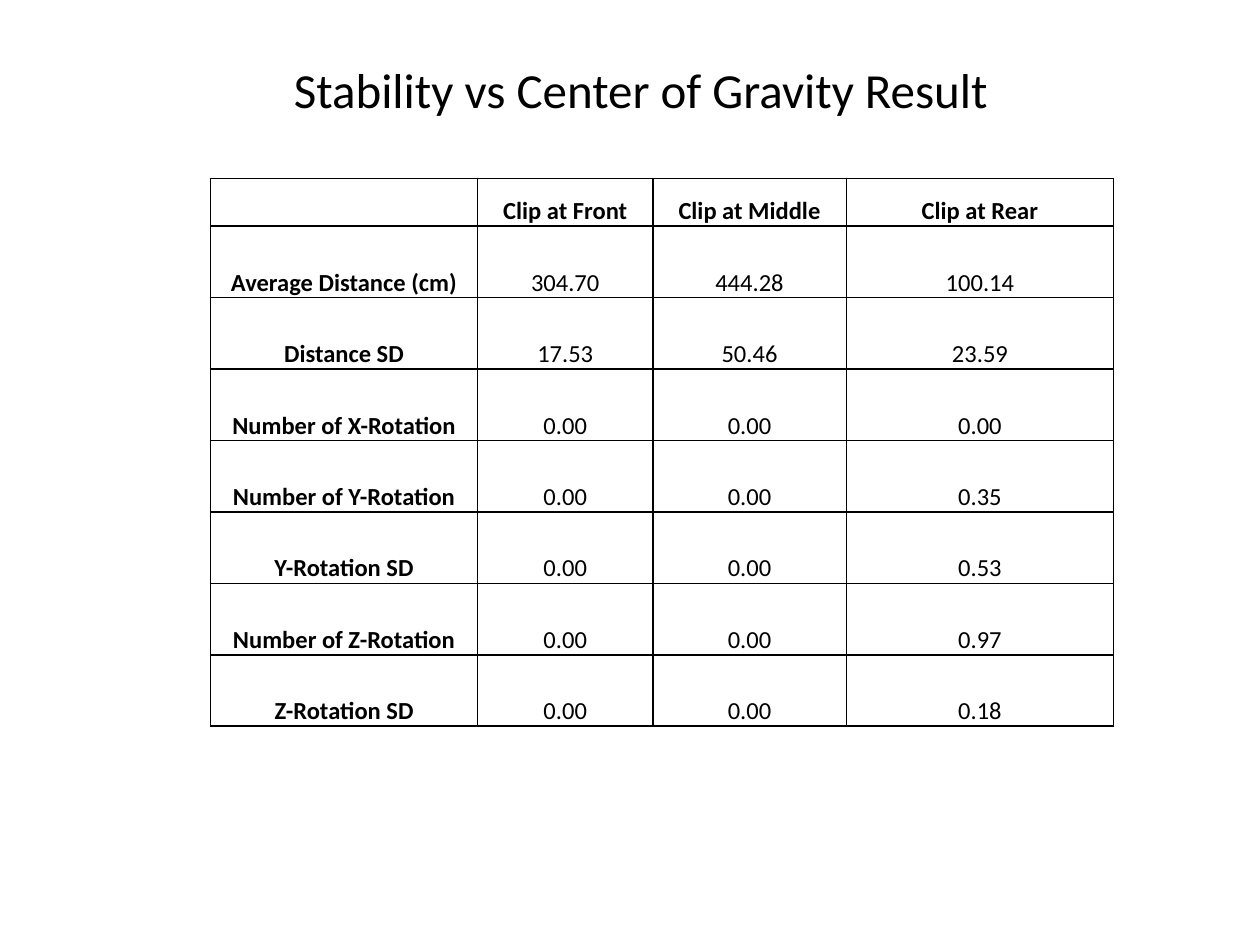
import pptx
import pptx.dml.color
import pptx.enum.text
import pptx.oxml
import pptx.oxml.ns
import pptx.util
from pptx.util import Cm

BLACK = pptx.dml.color.RGBColor(0, 0, 0)
FONT_NAME = "Calibri"
CENTER = pptx.enum.text.PP_ALIGN.CENTER
BOTTOM = pptx.enum.text.MSO_ANCHOR.BOTTOM

COLUMN_WIDTHS = [Cm(5.39), Cm(3.53), Cm(3.9), Cm(5.39)]
HEADER_HEIGHT = Cm(0.96)
ROW_HEIGHT = Cm(1.44)
CELL_MARGIN = Cm(0.02)

RESULTS = [
    ["", "Clip at Front", "Clip at Middle", "Clip at Rear"],
    ["Average Distance (cm)", "304.70", "444.28", "100.14"],
    ["Distance SD", "17.53", "50.46", "23.59"],
    ["Number of X-Rotation", "0.00", "0.00", "0.00"],
    ["Number of Y-Rotation", "0.00", "0.00", "0.35"],
    ["Y-Rotation SD", "0.00", "0.00", "0.53"],
    ["Number of Z-Rotation", "0.00", "0.00", "0.97"],
    ["Z-Rotation SD", "0.00", "0.00", "0.18"],
]


def format_paragraph(paragraph, size, bold=False):
    paragraph.alignment = CENTER
    for run in paragraph.runs:
        run.font.name = FONT_NAME
        run.font.size = pptx.util.Pt(size)
        run.font.bold = bold
        run.font.color.rgb = BLACK


def add_title(slide, text):
    shape = slide.shapes.add_textbox(Cm(4.24), Cm(1.07), Cm(17.35), Cm(1.45))
    shape.text_frame.word_wrap = True
    shape.text_frame.text = text
    format_paragraph(shape.text_frame.paragraphs[0], 28)


def set_borders(cell):
    properties = cell._tc.get_or_add_tcPr()
    for side in ("lnL", "lnR", "lnT", "lnB"):
        properties.append(pptx.oxml.parse_xml(
            f'<a:{side} {pptx.oxml.ns.nsdecls("a")} w="{pptx.util.Pt(1)}">'
            f'<a:solidFill><a:srgbClr val="{BLACK}"/></a:solidFill></a:{side}>'
        ))


def fill_cell(cell, text, bold):
    cell.margin_left = cell.margin_right = cell.margin_top = CELL_MARGIN
    cell.margin_bottom = 0
    cell.vertical_anchor = BOTTOM
    set_borders(cell)
    cell.fill.background()
    cell.text_frame.text = text
    format_paragraph(cell.text_frame.paragraphs[0], 14, bold)


def add_results_table(slide, results):
    heights = [HEADER_HEIGHT] + [ROW_HEIGHT] * (len(results) - 1)
    table = slide.shapes.add_table(
        len(results), len(COLUMN_WIDTHS), Cm(4.24), Cm(3.6),
        sum(COLUMN_WIDTHS), sum(heights),
    ).table
    table.horz_banding = False
    table.first_row = False
    for column, width in zip(table.columns, COLUMN_WIDTHS):
        column.width = width
    for row_index, (row, height) in enumerate(zip(table.rows, heights)):
        row.height = height
        for column_index, text in enumerate(results[row_index]):
            is_heading = row_index == 0 or column_index == 0
            fill_cell(row.cells[column_index], text, is_heading)


def main():
    presentation = pptx.Presentation()
    presentation.slide_width = Cm(25.4)
    presentation.slide_height = Cm(19.05)
    slide = presentation.slides.add_slide(presentation.slide_layouts[6])
    add_results_table(slide, RESULTS)
    add_title(slide, "Stability vs Center of Gravity Result")
    presentation.save("out.pptx")


if __name__ == "__main__":
    main()
